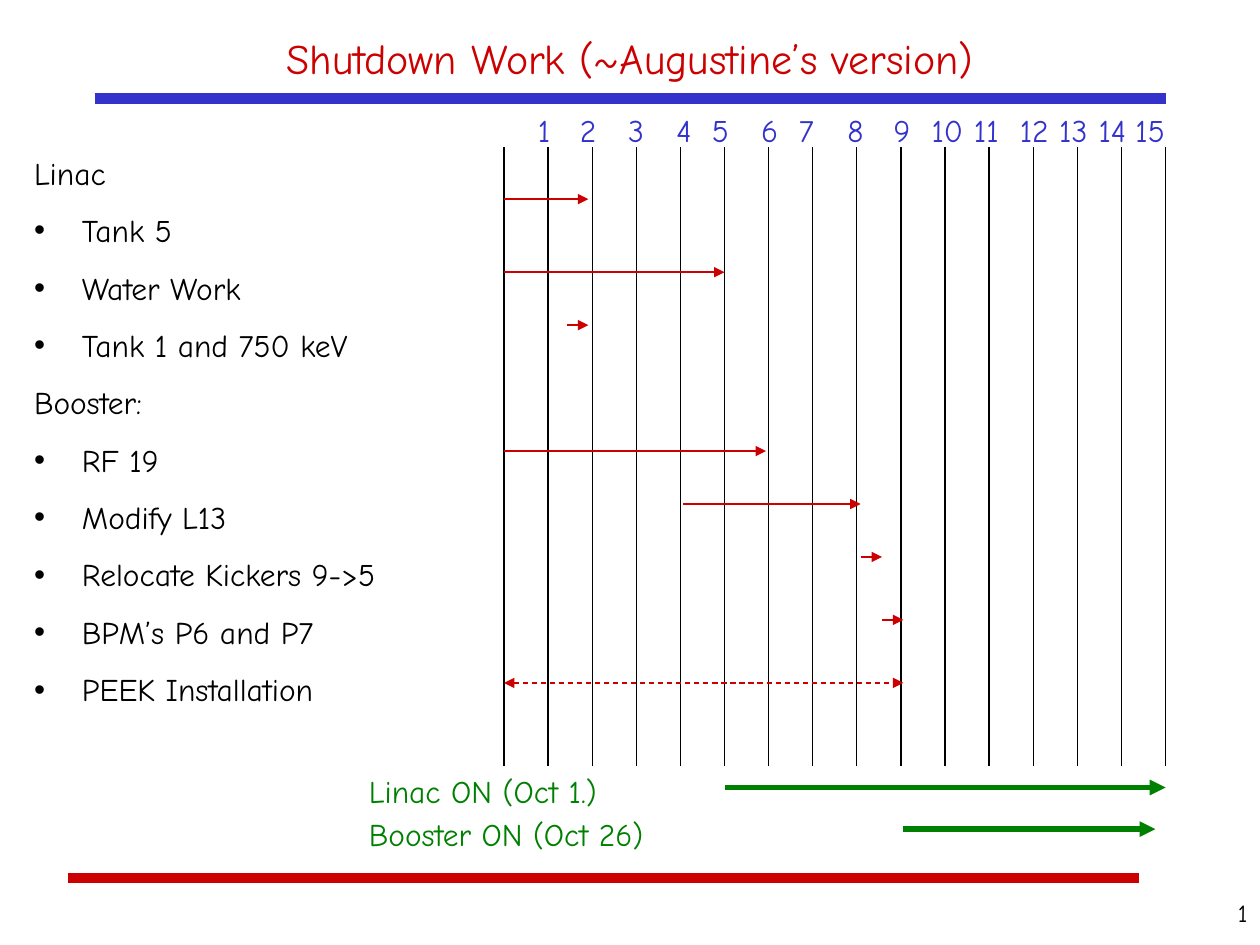
from dataclasses import dataclass

from lxml import etree
from pptx import Presentation
from pptx.dml.color import RGBColor
from pptx.enum.dml import MSO_LINE
from pptx.enum.shapes import MSO_CONNECTOR
from pptx.enum.text import MSO_ANCHOR, MSO_AUTO_SIZE, PP_ALIGN
from pptx.oxml.ns import qn
from pptx.util import Inches, Pt

STRAIGHT = MSO_CONNECTOR.STRAIGHT
DASH = MSO_LINE.DASH
TOP, MIDDLE = MSO_ANCHOR.TOP, MSO_ANCHOR.MIDDLE
LEFT, CENTER, RIGHT = PP_ALIGN.LEFT, PP_ALIGN.CENTER, PP_ALIGN.RIGHT


@dataclass(frozen=True)
class Theme:
    font: str = "Comic Neue"
    red: RGBColor = RGBColor(0xCC, 0x00, 0x00)
    blue: RGBColor = RGBColor(0x33, 0x33, 0xCC)
    green: RGBColor = RGBColor(0x00, 0x80, 0x00)
    black: RGBColor = RGBColor(0x00, 0x00, 0x00)
    title: int = 24
    body: int = 18
    number: int = 14


T = Theme()


def add_line(shapes, x1, y1, x2, y2, color, width, ends=(), dash=None):
    """Draw a line in inches; ends names the ends (headEnd, tailEnd) with arrowheads."""
    c = shapes.add_connector(STRAIGHT, Inches(x1), Inches(y1), Inches(x2), Inches(y2))
    c.line.color.rgb = color
    c.line.width = Pt(width)
    if dash:
        c.line.dash_style = dash
    ln = c.line._get_or_add_ln()
    for end in ends:
        etree.SubElement(ln, qn("a:" + end), type="triangle")
    etree.SubElement(c._element.spPr, qn("a:effectLst"))


def set_text(sp, box, lines, size, color, align=LEFT, anchor=TOP):
    """Place a shape and fill it with one paragraph per line."""
    sp.left, sp.top, sp.width, sp.height = map(Inches, box)
    tf = sp.text_frame
    tf.word_wrap = True
    tf.auto_size = MSO_AUTO_SIZE.NONE
    tf.vertical_anchor = anchor
    tf.text = "\n".join(lines)
    for p in tf.paragraphs:
        p.alignment = align
        p.font.name, p.font.size = T.font, Pt(size)
        p.font.color.rgb = color
    return tf


prs = Presentation()
prs.slide_width, prs.slide_height = Inches(10), Inches(7.5)
s = prs.slides.add_slide(prs.slide_layouts[1])

# Title and rules
add_line(s.shapes, 0.54, 6.97, 9.04, 6.97, T.red, 6)
add_line(s.shapes, 0.75, 0.78, 9.25, 0.78, T.blue, 6)
set_text(s.shapes.title, (0.75, 0.17, 8.5, 0.58),
         ["Shutdown Work (~Augustine’s version)"], T.title, T.red, CENTER, MIDDLE)

# Week grid
GRID_LEFT, WEEK, WEEKS = 4, 0.35, 15
grid = s.shapes.add_group_shape()
for i in range(WEEKS + 1):
    x = GRID_LEFT + i * WEEK
    add_line(grid.shapes, x, 1.17, x, 6.08, T.black, 0.75)

# Week numbers, centred on tab stops measured from the text edge
week_stops = [0.4, 0.78, 1.16, 1.45, 1.84, 2.13, 2.52,
              2.89, 3.25, 3.56, 3.94, 4.25, 4.56, 4.86]
weeks = "\t".join(str(n) for n in range(1, WEEKS + 1))
tf = set_text(s.shapes.add_textbox(0, 0, 0, 0), (4.17, 0.83, 5.42, 0.4),
              [weeks], T.body, T.blue)
tabs = etree.Element(qn("a:tabLst"))
for stop in week_stops:
    etree.SubElement(tabs, qn("a:tab"), pos=str(Inches(stop)), algn="ctr")
tf.paragraphs[0]._p.pPr.find(qn("a:defRPr")).addprevious(tabs)

# Task list
tasks = {
    "Linac": ["Tank 5", "Water Work", "Tank 1 and 750 keV"],
    "Booster:": ["RF 19", "Modify L13", "Relocate Kickers 9->5",
                 "BPM’s P6 and P7", "PEEK Installation"],
}
lines = [line for machine, jobs in tasks.items() for line in (machine, *jobs)]
tf = set_text(s.placeholders[1], (0.17, 1.17, 3.5, 5.42), lines, T.body, T.black)
for i, p in enumerate(tf.paragraphs):
    pPr = p._p.pPr
    pPr.set("marL", str(Inches(0.38)))
    pPr.set("indent", str(-Inches(0.38)))
    bullet = etree.Element(qn("a:buNone"))
    if p.text not in tasks:
        bullet = etree.Element(qn("a:buChar"), char="•")
    pPr.find(qn("a:defRPr")).addprevious(bullet)
    p.space_before = Pt(11.2 if i else 0)

# Task bars: start, end, height on the slide
bars = [(4, 4.67, 1.58), (4, 5.75, 2.16), (4.5, 4.67, 2.58), (4, 6.08, 3.58),
        (5.42, 6.83, 4), (6.83, 7, 4.42), (7, 7.17, 4.92)]
for start, end, y in bars:
    add_line(s.shapes, start, y, end, y, T.red, 0.75, ["tailEnd"])
add_line(s.shapes, 4, 5.42, 7.17, 5.42, T.red, 0.75, ["headEnd", "tailEnd"], DASH)

# Machine restarts
restarts = [("Linac ON (Oct 1.)", 6.08, 2.33, 5.75, 9.25, 6.25),
            ("Booster ON (Oct 26)", 6.42, 2.83, 7.17, 9.17, 6.58)]
for label, top, width, start, end, y in restarts:
    add_line(s.shapes, start, y, end, y, T.green, 3, ["tailEnd"])
    set_text(s.shapes.add_textbox(0, 0, 0, 0), (2.83, top, width, 0.4),
             [label], T.body, T.green)

# Page number
set_text(s.shapes.add_textbox(0, 0, 0, 0), (9.08, 7.08, 0.92, 0.42),
         ["1"], T.number, T.black, RIGHT)

prs.save("out.pptx")
